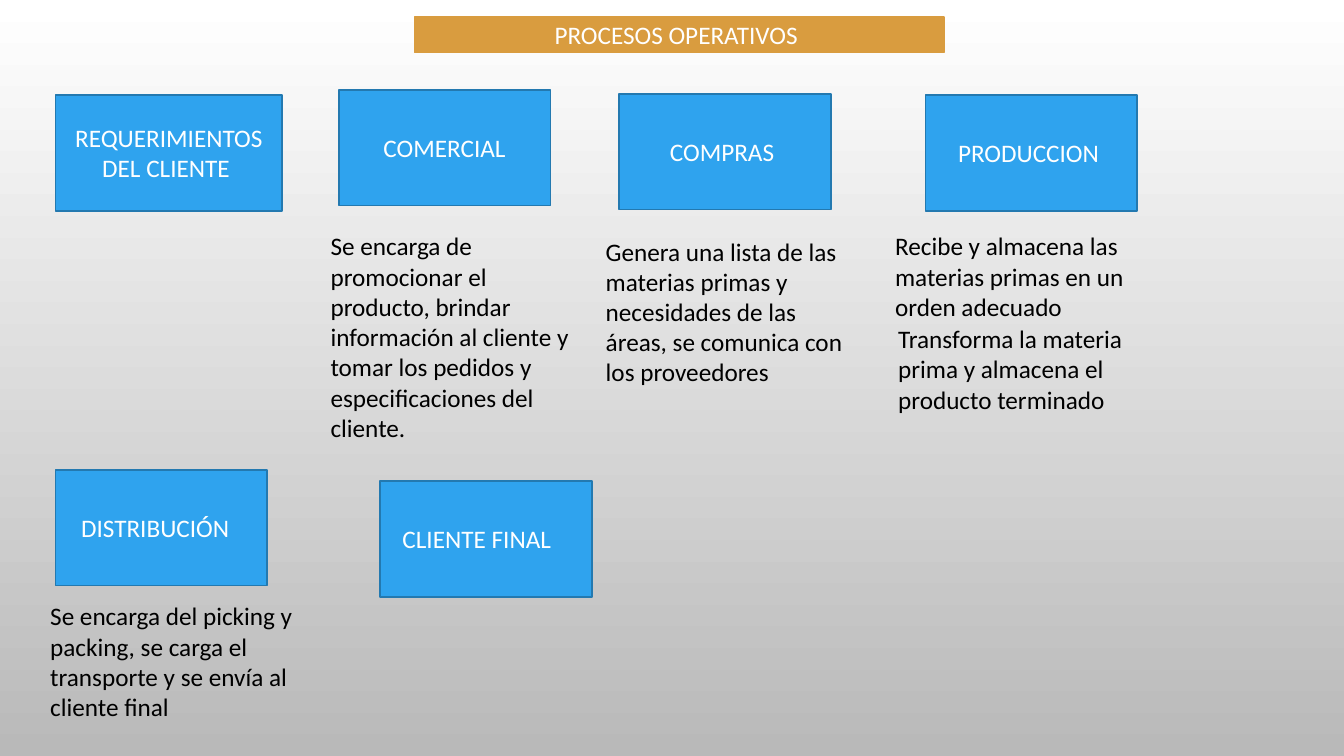
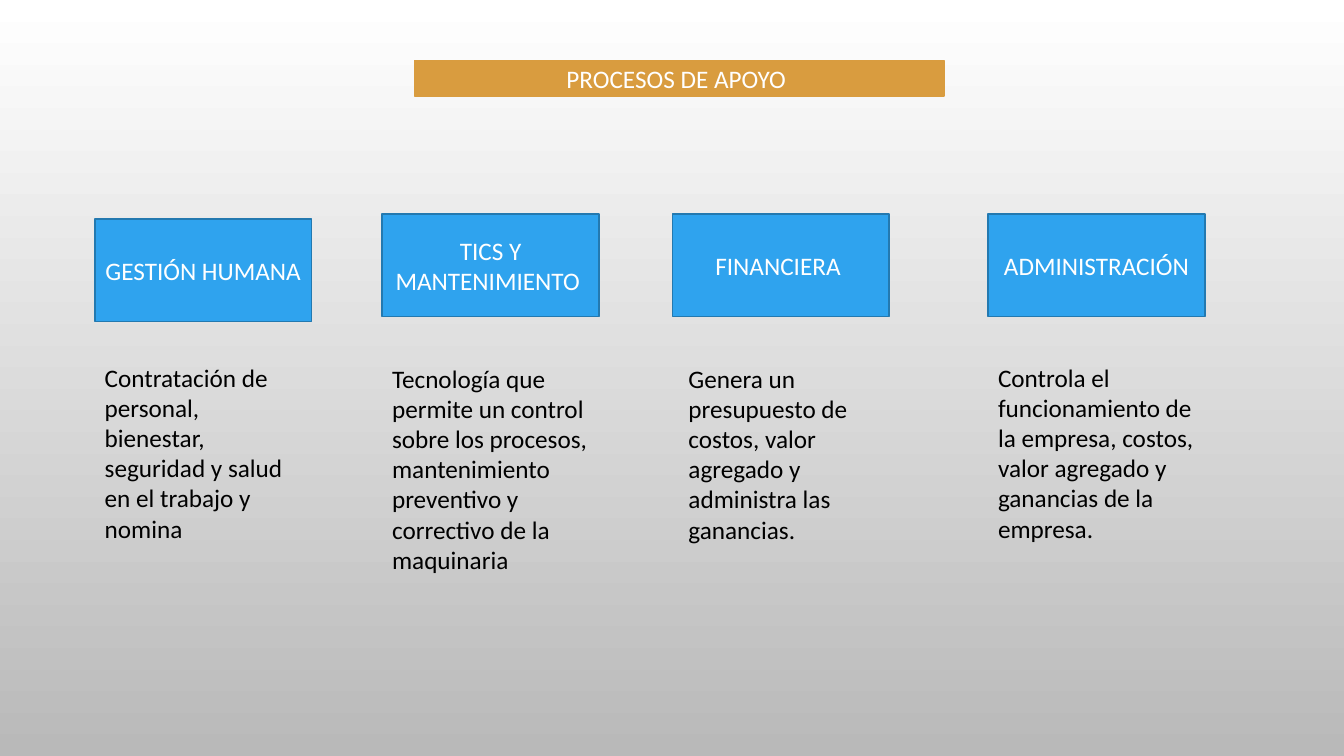
"""Builds two slides on the operating and support processes of a company."""
from pptx import Presentation
from pptx import util as u
from pptx.dml.color import RGBColor
from pptx.enum import shapes, text

COLORS = {"top": "FFFFFF", "bottom": "B9B9B9", "band": "D99C3F", "box": "2FA3EE",
          "edge": "2379B0", "light": "FFFFFF", "dark": "000000"}
BAND_LEFT, BAND_WIDTH, BAND_HEIGHT = 4.11, 5.25, 0.35
INSET = 0.1


def color(name):
    return RGBColor.from_string(COLORS[name])


def add_text(slide, words, at, fill=None, line=None, ink="dark", right=INSET):
    place = [u.Inches(length) for length in at]
    if fill:
        shape = slide.shapes.add_shape(shapes.MSO_SHAPE.RECTANGLE, *place)
        shape.shadow.inherit = False
        shape.fill.solid()
        shape.fill.fore_color.rgb = color(fill)
        shape.line.color.rgb = color(line)
        shape.line.width = u.Pt(1.25)
    else:
        shape = slide.shapes.add_textbox(*place)
    frame = shape.text_frame
    frame.word_wrap = True
    frame.margin_right = u.Inches(right)
    frame.vertical_anchor = text.MSO_ANCHOR.MIDDLE if fill else text.MSO_ANCHOR.TOP
    paragraph = frame.paragraphs[0]
    paragraph.alignment = text.PP_ALIGN.CENTER if fill else text.PP_ALIGN.LEFT
    run = paragraph.add_run()
    run.text = words
    run.font.name = "Calibri"
    run.font.size = u.Pt(18)
    run.font.color.rgb = color(ink)


presentation = Presentation()
presentation.slide_width = u.Inches(13.33)
presentation.slide_height = u.Inches(7.5)

background = presentation.slide_master.background.fill
background.gradient()
background.gradient_angle = 270
for stop, name, position in zip(background.gradient_stops, ("top", "bottom"), (0, 1)):
    stop.color.rgb = color(name)
    stop.position = position

PAGES = [
    {
        "title": "PROCESOS OPERATIVOS ", "title_top": 0.17, "box_height": 1.15,
        "boxes": [
            ("REQUERIMIENTOS DEL CLIENTE ", 0.55, 0.94, 2.25, INSET),
            ("COMERCIAL", 3.36, 0.89, 2.1, INSET),
            ("COMPRAS ", 6.14, 0.93, 2.1, INSET),
            ("PRODUCCION ", 9.18, 0.94, 2.1, INSET),
            ("DISTRIBUCIÓN", 0.55, 4.66, 2.1, 0.22),
            ("CLIENTE FINAL", 3.77, 4.77, 2.1, 0.28),
        ],
        "notes": [
            ("Se encarga de promocionar el producto, brindar información al cliente "
             "y tomar los pedidos y especificaciones del cliente.", 3.18, 2.24, 2.69, 2.22),
            ("Genera una lista de las materias primas y necesidades de las áreas, "
             "se comunica con los proveedores", 5.91, 2.29, 2.63, 1.62),
            ("Recibe y almacena las materias primas en un orden adecuado",
             8.78, 2.24, 3.06, 1.01),
            ("Transforma la materia prima y almacena el producto terminado",
             8.81, 3.16, 2.69, 1.01),
            ("Se encarga del picking y packing, se carga el transporte y se envía "
             "al cliente final", 0.4, 5.91, 2.96, 1.31),
        ],
    },
    {
        "title": "PROCESOS DE APOYO ", "title_top": 0.6, "box_height": 1.02,
        "boxes": [
            ("GESTIÓN HUMANA ", 0.94, 2.17, 2.15, INSET),
            ("TICS Y MANTENIMIENTO ", 3.79, 2.12, 2.15, INSET),
            ("FINANCIERA ", 6.67, 2.12, 2.15, INSET),
            ("ADMINISTRACIÓN", 9.8, 2.12, 2.15, INSET),
        ],
        "notes": [
            ("Contratación de personal, bienestar, seguridad y salud en el trabajo "
             "y nomina", 0.94, 3.54, 2.15, 1.62),
            ("Tecnología que permite un control sobre los procesos, mantenimiento "
             "preventivo y correctivo de la maquinaria", 3.79, 3.55, 2.15, 2.22),
            ("Genera un presupuesto de costos, valor agregado y administra las "
             "ganancias.", 6.73, 3.55, 2.15, 1.92),
            ("Controla el funcionamiento de la empresa, costos, valor agregado y "
             "ganancias de la empresa.", 9.8, 3.54, 2.29, 1.92),
        ],
    },
]

for page in PAGES:
    slide = presentation.slides.add_slide(presentation.slide_layouts[6])
    add_text(slide, page["title"], (BAND_LEFT, page["title_top"], BAND_WIDTH, BAND_HEIGHT),
             fill="band", line="band", ink="light")
    for words, left, top, width, right in page["boxes"]:
        add_text(slide, words, (left, top, width, page["box_height"]),
                 fill="box", line="edge", ink="light", right=right)
    for words, *at in page["notes"]:
        add_text(slide, words, at)

presentation.save("out.pptx")
